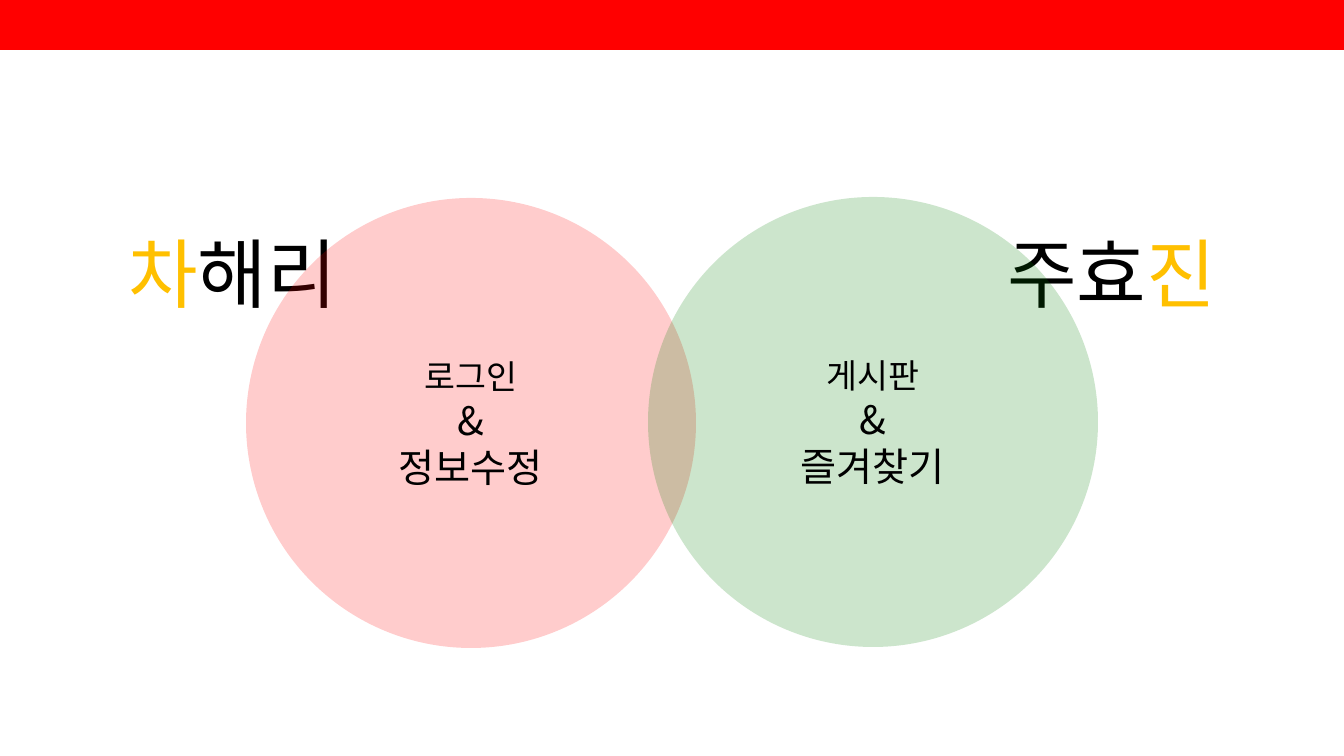
import pptx
import pptx.util
import pptx.dml.color
import pptx.enum.shapes
import pptx.enum.text
import pptx.oxml
import pptx.oxml.ns

SCALE = 12192000 / 1344
FONT = "Noto Sans CJK KR"
BLACK = "000000"
GOLD = "FFC000"
RED = "FF0000"
GREEN = "008000"


def px(length):
    return pptx.util.Emu(round(length * SCALE))


def color(value):
    return pptx.dml.color.RGBColor.from_string(value)


def add_filled(page, kind, left, top, width, height, fill, opacity=100):
    shape = page.shapes.add_shape(kind, px(left), px(top), px(width), px(height))
    shape.shadow.inherit = False
    shape.fill.solid()
    shape.fill.fore_color.rgb = color(fill)
    shape.line.fill.background()
    if opacity < 100:
        tone = shape.fill._xPr.find(".//" + pptx.oxml.ns.qn("a:srgbClr"))
        alpha = pptx.oxml.parse_xml(
            f'<a:alpha {pptx.oxml.ns.nsdecls("a")} val="{opacity * 1000}"/>'
        )
        tone.append(alpha)
    return shape


def add_span(para, text, size, tint=BLACK):
    span = para.add_run()
    span.text = text
    span.font.size = pptx.util.Pt(size)
    span.font.color.rgb = color(tint)
    span.font.name = FONT
    east_asian = pptx.oxml.parse_xml(
        f'<a:ea {pptx.oxml.ns.nsdecls("a")} typeface="{FONT}"/>'
    )
    span.font._element.append(east_asian)


def add_text(page, left, top, width, height, lines):
    box = page.shapes.add_textbox(px(left), px(top), px(width), px(height))
    frame = box.text_frame
    frame.word_wrap = True
    frame.auto_size = pptx.enum.text.MSO_AUTO_SIZE.SHAPE_TO_FIT_TEXT
    frame.vertical_anchor = pptx.enum.text.MSO_ANCHOR.MIDDLE
    for index, spans in enumerate(lines):
        para = frame.paragraphs[0] if index == 0 else frame.add_paragraph()
        para.alignment = pptx.enum.text.PP_ALIGN.CENTER
        for text, keywords in spans:
            add_span(para, text, **keywords)


def add_name(page, left, parts):
    spans = [(text, {"size": 54, "tint": tint}) for text, tint in parts]
    add_text(page, left, 221, 281, 102, [spans])


def add_circle(page, left, top, fill, first, second):
    add_filled(page, pptx.enum.shapes.MSO_SHAPE.OVAL, left, top, 450, 450, fill, 20)
    lines = [
        [(first, {"size": 24})],
        [("&", {"size": 28})],
        [(second, {"size": 28})],
    ]
    add_text(page, left + 103, top + 152, 244, 146, lines)


def main():
    deck = pptx.Presentation()
    deck.slide_width = px(1344)
    deck.slide_height = px(756)
    page = deck.slides.add_slide(deck.slide_layouts[6])
    add_filled(page, pptx.enum.shapes.MSO_SHAPE.RECTANGLE, 0, 0, 1344, 50, RED)
    add_name(page, 92, [("차", GOLD), ("해리", BLACK)])
    add_name(page, 971, [("주효", BLACK), ("진", GOLD)])
    add_circle(page, 246, 198, RED, "로그인", "정보수정")
    add_circle(page, 648, 197, GREEN, "게시판", "즐겨찾기")
    deck.save("out.pptx")


if __name__ == "__main__":
    main()
